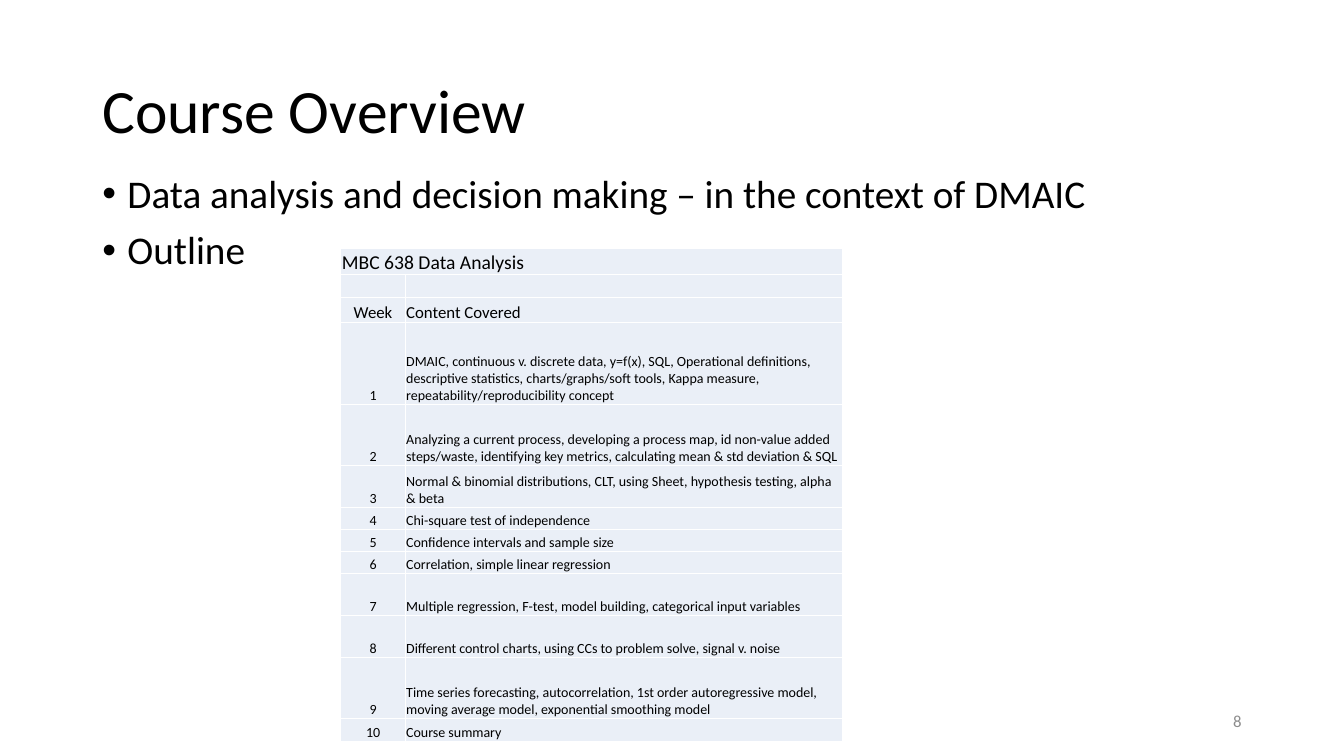
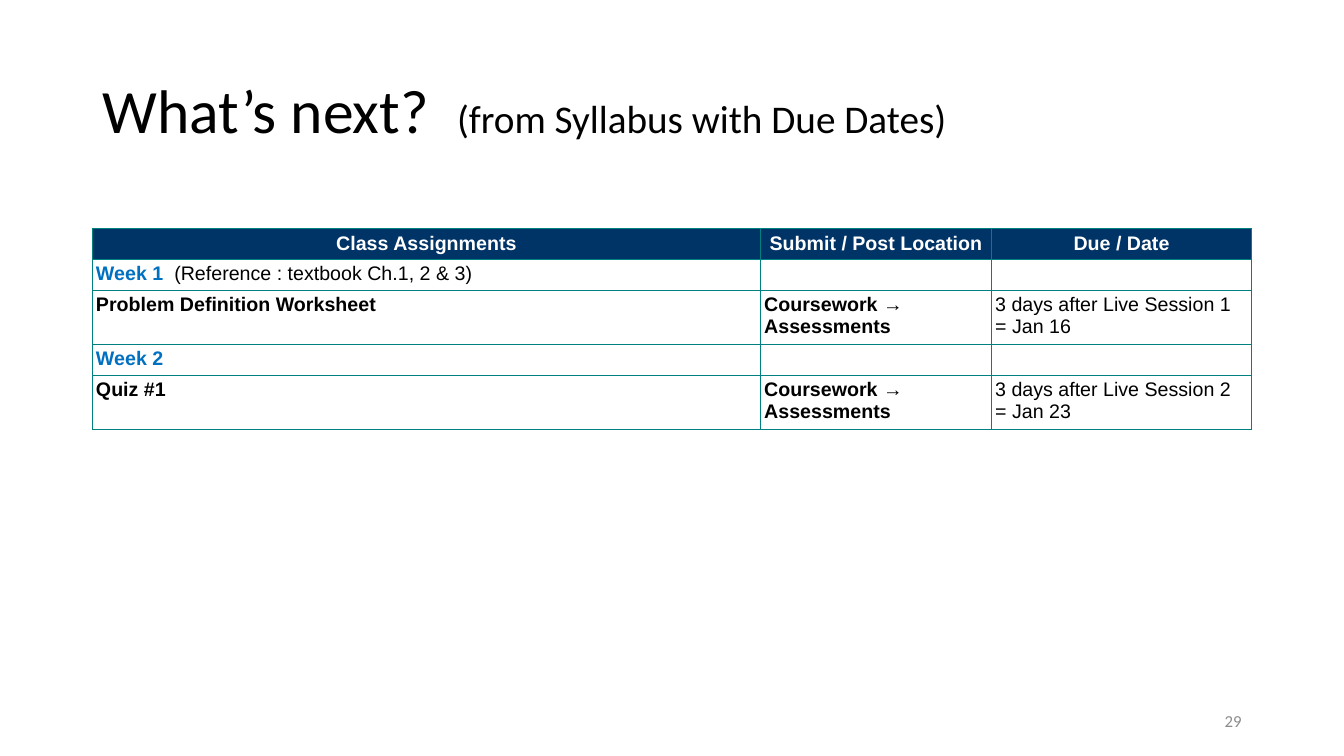
from lxml.etree import SubElement
from pptx import Presentation
from pptx.dml.color import RGBColor
from pptx.enum.text import MSO_ANCHOR, PP_ALIGN
from pptx.oxml.ns import qn
from pptx.util import Pt

COLORS = {"ink": "000000", "white": "FFFFFF", "number": "8C8C8C", "outline": "EAEFF7",
          "header": "003366", "grid": "008080", "week": "0070C0"}
TITLE_BOX = (66, 28.75, 828, 104.4)
BODY_BOX = (66, 121, 828, 379.5)
NUMBER_BOX = (678, 500.5, 216, 28.75)

OUTLINE = [
    (18.5, "MBC 638 Data Analysis", ""),
    (16.5, "", ""),
    (18, "Week", "Content Covered"),
    (58.5, "1", "DMAIC, continuous v. discrete data, y=f(x), SQL, Operational definitions, "
     "descriptive statistics, charts/graphs/soft tools, Kappa measure, "
     "repeatability/reproducibility concept"),
    (43.5, "2", "Analyzing a current process, developing a process map, id non-value added "
     "steps/waste, identifying key metrics, calculating mean & std deviation & SQL"),
    (30, "3", "Normal & binomial distributions, CLT, using Sheet, hypothesis testing, "
     "alpha & beta"),
    (15.75, "4", "Chi-square test of independence"),
    (15.75, "5", "Confidence intervals and sample size"),
    (15.75, "6", "Correlation, simple linear regression"),
    (30, "7", "Multiple regression, F-test, model building, categorical input variables"),
    (30, "8", "Different control charts, using CCs to problem solve, signal v. noise"),
    (43.5, "9", "Time series forecasting, autocorrelation, 1st order autoregressive model, "
     "moving average model, exponential smoothing model"),
    (16.5, "10", "Course summary"),
]
HEADINGS = ["Class Assignments", "Submit / Post Location", "Due / Date"]
LOCATION = "Coursework → Assessments"
WEEKS = [
    ("Week 1", "  (Reference : textbook Ch.1, 2 & 3)", "Problem Definition Worksheet",
     "3 days after Live Session 1 = Jan 16"),
    ("Week 2", "", "Quiz #1", "3 days after Live Session 2 = Jan 23"),
]


def rgb(name):
    """Look up a palette colour."""
    return RGBColor.from_string(COLORS[name])


def add_run(p, text, size, color="ink", bold=False, font="Calibri"):
    """Append a formatted run to a paragraph."""
    r = p.add_run()
    r.text = text
    r.font.name, r.font.size, r.font.bold = font, Pt(size), bold
    r.font.color.rgb = rgb(color)


def add_box(s, box, anchor=MSO_ANCHOR.TOP):
    """Add a wrapping text box and return its text frame."""
    tf = s.shapes.add_textbox(*map(Pt, box)).text_frame
    tf.word_wrap = True
    tf.vertical_anchor = anchor
    return tf


def add_base(prs, number, title, note=""):
    """Add a blank slide with its title and slide number."""
    s = prs.slides.add_slide(prs.slide_layouts[6])
    p = add_box(s, TITLE_BOX, MSO_ANCHOR.MIDDLE).paragraphs[0]
    p.line_spacing = 0.9
    add_run(p, title, 44)
    if note:
        add_run(p, note, 28)
    p = add_box(s, NUMBER_BOX, MSO_ANCHOR.MIDDLE).paragraphs[0]
    p.alignment = PP_ALIGN.RIGHT
    add_run(p, str(number), 12, "number")
    return s


def add_bullets(s, box, items):
    """Add a bulleted list."""
    tf = add_box(s, box)
    for i, item in enumerate(items):
        p = tf.add_paragraph() if i else tf.paragraphs[0]
        p.line_spacing, p.space_before = 0.9, Pt(10)
        add_run(p, item, 28)
        pPr = p._p.get_or_add_pPr()
        pPr.set("marL", str(Pt(18)))
        pPr.set("indent", str(-Pt(18)))
        SubElement(pPr, qn("a:buFont")).set("typeface", "Arial")
        SubElement(pPr, qn("a:buChar")).set("char", "•")


def add_grid(s, left, top, widths, heights):
    """Add an unbanded table with the given column widths and row heights."""
    box = (left, top, sum(widths), sum(heights))
    t = s.shapes.add_table(len(heights), len(widths), *map(Pt, box)).table
    t.first_row = t.horz_banding = False
    for col, width in zip(t.columns, widths):
        col.width = Pt(width)
    for row, height in zip(t.rows, heights):
        row.height = Pt(height)
    return t


def fill_cell(cell, runs, border, fill=None, insets=(0, 0, 0, 0), size=14,
              font="Calibri", align=PP_ALIGN.LEFT, anchor=MSO_ANCHOR.TOP):
    """Write (text, colour, bold) runs in a cell and style it."""
    cell.margin_left, cell.margin_top, cell.margin_right, cell.margin_bottom = map(Pt, insets)
    cell.vertical_anchor = anchor
    p = cell.text_frame.paragraphs[0]
    p.alignment = align
    for text, color, bold in runs:
        add_run(p, text, size, color, bold, font)
    if not runs:
        SubElement(p._p, qn("a:endParaRPr")).set("sz", str(size * 100))
    tcPr = cell._tc.get_or_add_tcPr()
    for side in ("lnL", "lnR", "lnT", "lnB"):
        ln = SubElement(tcPr, qn("a:" + side), w=str(Pt(1)))
        SubElement(SubElement(ln, qn("a:solidFill")), qn("a:srgbClr")).set("val", COLORS[border])
    if fill:
        cell.fill.solid()
        cell.fill.fore_color.rgb = rgb(fill)
    else:
        cell.fill.background()


def add_outline(s, left, top):
    """Add the weekly course outline table."""
    t = add_grid(s, left, top, (46, 312.5), [height for height, *_ in OUTLINE])
    sizes = {0: 14, 2: 12}
    for i, (_, *texts) in enumerate(OUTLINE):
        for j, text in enumerate(texts):
            centred = i > 0 and j == 0
            fill_cell(t.cell(i, j), [(text, "ink", False)] if text else [], "white", "outline",
                      (0.7, 0.7, 0.7, 0), sizes.get(i, 10), anchor=MSO_ANCHOR.BOTTOM,
                      align=PP_ALIGN.CENTER if centred else PP_ALIGN.LEFT)
    t.cell(0, 0).merge(t.cell(0, 1))


def add_assignments(s, left, top):
    """Add the table of assignments, locations and due dates."""
    rows = [[[(text, "white", True)] for text in HEADINGS]]
    for week, note, task, due in WEEKS:
        label = [(week, "week", True)] + ([(note, "ink", False)] if note else [])
        rows += [[label, [], []],
                 [[(task, "ink", True)], [(LOCATION, "ink", True)], [(due, "ink", False)]]]
    t = add_grid(s, left, top, (477.3, 165, 185.7), [21, 21, 36.5, 21, 36.5])
    for i, row in enumerate(rows):
        for j, runs in enumerate(row):
            fill_cell(t.cell(i, j), runs, "grid", None if i else "header", (2.6,) * 4,
                      font="Arial", align=PP_ALIGN.LEFT if i else PP_ALIGN.CENTER)


def main():
    """Build and save the two slides."""
    prs = Presentation()
    prs.slide_width, prs.slide_height = Pt(960), Pt(540)
    s = add_base(prs, 8, "Course Overview")
    add_bullets(s, BODY_BOX, ["Data analysis and decision making – in the context of DMAIC",
                              "Outline"])
    add_outline(s, 243.5, 177.5)
    s = add_base(prs, 29, "What’s next?  ", "(from Syllabus with Due Dates)")
    add_assignments(s, 66, 163.3)
    prs.save("out.pptx")


if __name__ == "__main__":
    main()
